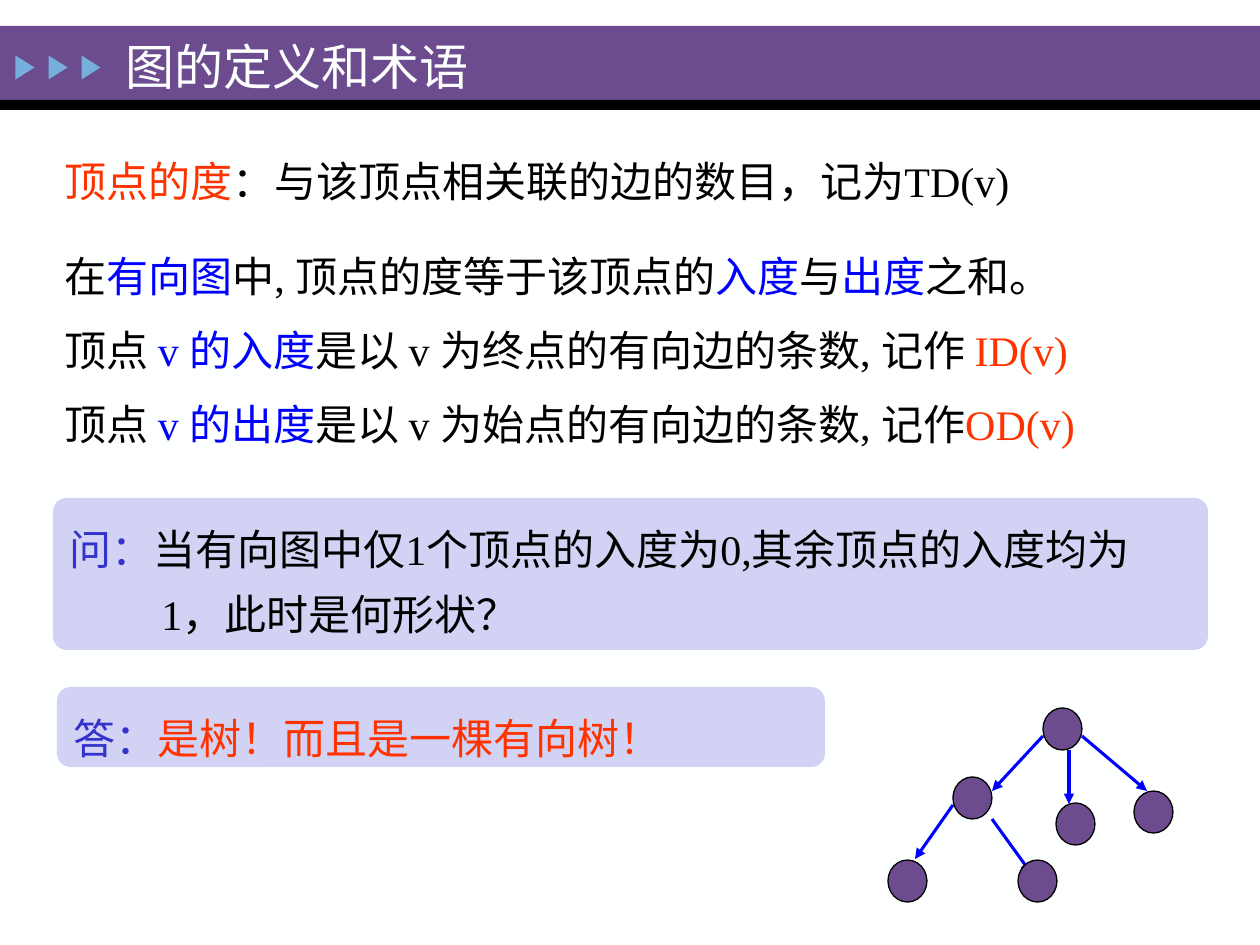
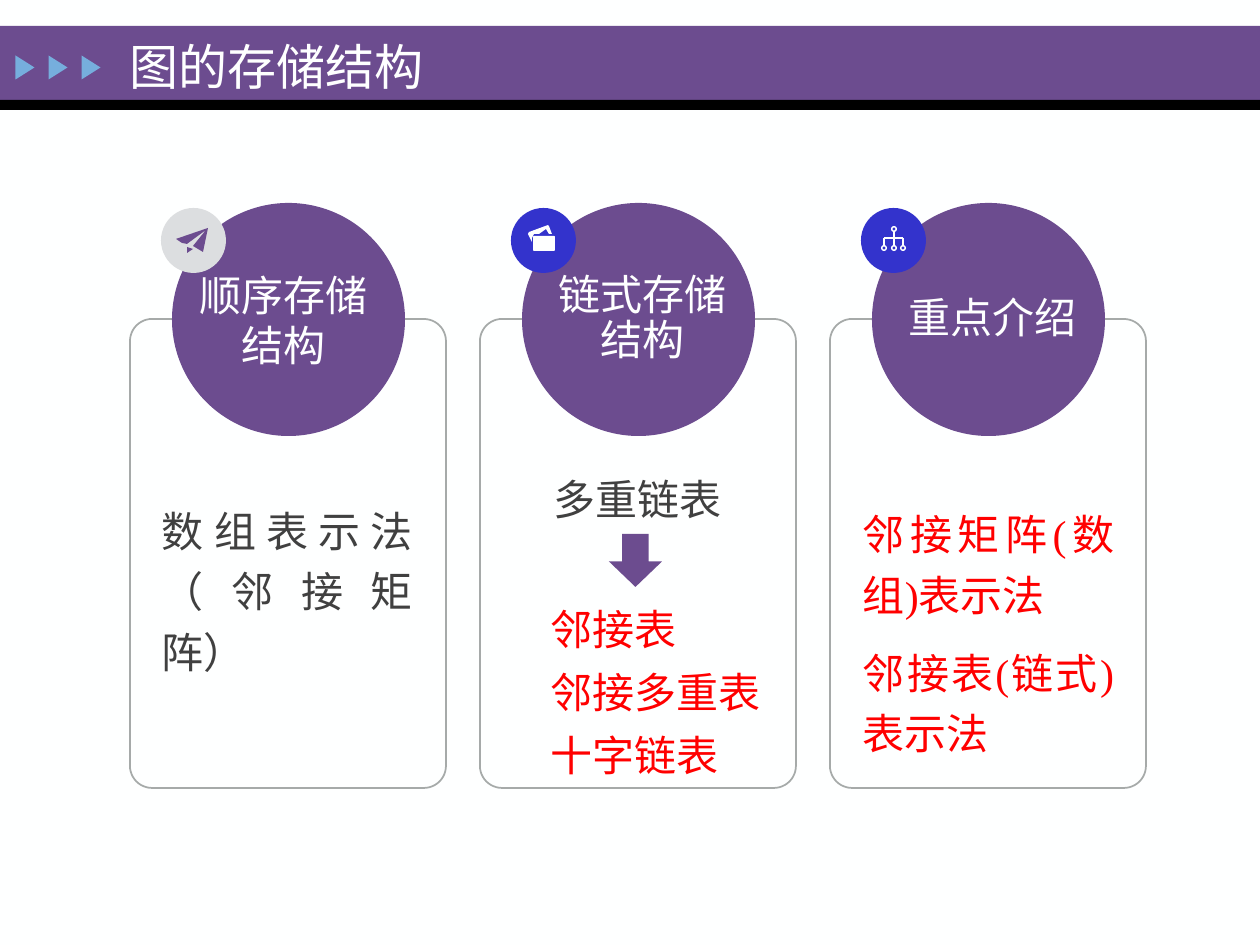
from dataclasses import dataclass

from lxml.etree import SubElement
from pptx import Presentation
from pptx.dml.color import RGBColor
from pptx.enum.shapes import MSO_CONNECTOR, MSO_SHAPE as SHAPE
from pptx.enum.text import MSO_ANCHOR as ANCHOR, MSO_AUTO_SIZE, PP_ALIGN as ALIGN
from pptx.oxml.ns import qn
from pptx.util import Pt

PX = 914400 / 126


@dataclass(frozen=True)
class Theme:
    font: str = "Times New Roman"
    title_size: int = 28
    text_size: int = 24
    paper: str = "FEFFFF"
    purple: str = "6C4C8F"
    black: str = "000000"
    sky: str = "76AEDD"
    lilac: str = "D2D2F4"
    indigo: str = "3333CC"
    blue: str = "0000FF"
    orange: str = "FF3300"
    red: str = "FF0000"
    gray: str = "404040"
    silver: str = "DCDEE0"
    border: str = "A6AAA9"


T = Theme()


def px(*lengths):
    return [round(length * PX) for length in lengths]


def rgb(code):
    return RGBColor.from_string(code)


def paint(shape, fill=None, line=None, width=1.0):
    shape.shadow.inherit = False
    if fill:
        shape.fill.solid()
        shape.fill.fore_color.rgb = rgb(fill)
    else:
        shape.fill.background()
    if line:
        shape.line.color.rgb = rgb(line)
        shape.line.width = Pt(width)
    else:
        shape.line.fill.background()


def add_preset(slide, kind, box, fill=None, line=None, width=1.0, adjust=()):
    shape = slide.shapes.add_shape(kind, *px(*box))
    for index, value in enumerate(adjust):
        shape.adjustments[index] = value
    paint(shape, fill, line, width)
    return shape


def add_outline(slide, x, y, points, fill):
    """Draw a closed polygon whose points are relative to (x, y)."""
    start, *rest = [(x + dx, y + dy) for dx, dy in points]
    builder = slide.shapes.build_freeform(*start, scale=PX)
    builder.add_line_segments(rest, close=True)
    paint(builder.convert_to_shape(), fill)


def add_line(slide, x, y, ends, color, width, arrow=False):
    x1, y1, x2, y2 = ends
    line = slide.shapes.add_connector(
        MSO_CONNECTOR.STRAIGHT, *px(x + x1, y + y1, x + x2, y + y2))
    line.line.color.rgb = rgb(color)
    line.line.width = Pt(width)
    properties = line.element.spPr
    if arrow:
        SubElement(properties.find(qn("a:ln")), qn("a:tailEnd"), type="triangle")
    SubElement(properties, qn("a:effectLst"))


def write(frame, paragraphs, size=T.text_size, align=ALIGN.LEFT, spacing=1.0,
          before=0, anchor=ANCHOR.TOP, hanging=0):
    """Fill a frame; each paragraph is a list of (text, colour) runs."""
    frame.word_wrap = True
    frame.auto_size = MSO_AUTO_SIZE.NONE
    frame.vertical_anchor = anchor
    for index, runs in enumerate(paragraphs):
        paragraph = frame.add_paragraph() if index else frame.paragraphs[0]
        paragraph.alignment = align
        paragraph.line_spacing = spacing
        paragraph.space_before = Pt(before if index else 0)
        if hanging:
            indent, = px(hanging)
            properties = paragraph._p.get_or_add_pPr()
            properties.set("marL", str(indent))
            properties.set("indent", str(-indent))
        paragraph.font.name = T.font
        paragraph.font.size = Pt(size)
        for text, color in runs:
            run = paragraph.add_run()
            run.text = text
            if len(runs) > 1:
                run.font.color.rgb = rgb(color)
            else:
                paragraph.font.color.rgb = rgb(color)


def add_text(slide, box, paragraphs, inset=True, **style):
    frame = slide.shapes.add_textbox(*px(*box)).text_frame
    if not inset:
        frame.margin_left = frame.margin_right = 0
        frame.margin_top = frame.margin_bottom = 0
    write(frame, paragraphs, **style)


def add_titled_slide(prs, title, left):
    slide = prs.slides.add_slide(prs.slide_layouts[5])
    add_preset(slide, SHAPE.RECTANGLE, (0, 26, 1260, 74), T.purple)
    add_preset(slide, SHAPE.RECTANGLE, (0, 100, 1260, 10), T.black)
    for i in range(3):
        marker = add_preset(slide, SHAPE.ISOSCELES_TRIANGLE,
                            (13 + 33 * i, 58, 24, 19), T.sky)
        marker.rotation = 90
    heading = slide.shapes.title
    slide.shapes.element.append(heading.element)  # in front of the band
    heading.left, heading.top, heading.width, heading.height = px(left, 18, 848, 95)
    write(heading.text_frame, [[(title, T.paper)]], size=T.title_size,
          anchor=ANCHOR.MIDDLE)
    return slide


def add_panel(slide, box, runs, radius, hanging=0):
    panel = add_preset(slide, SHAPE.ROUNDED_RECTANGLE, box, T.lilac, adjust=[radius])
    write(panel.text_frame, [runs], spacing=1.3, hanging=hanging)


def add_tree(slide, x, y):
    edges = [(155, 28, 104, 83), (65, 97, 27, 151), (104, 111, 143, 165),
             (181, 42, 181, 96), (194, 28, 259, 83)]
    nodes = [(155, 0), (65, 69), (168, 95), (246, 83), (0, 152), (130, 152)]
    for edge in edges:
        add_line(slide, x, y, edge, T.blue, 1.75, arrow=True)
    for dx, dy in nodes:
        add_preset(slide, SHAPE.OVAL, (x + dx, y + dy, 39, 42), T.purple, T.black, 0.75)


def build_terms(prs):
    slide = add_titled_slide(prs, "图的定义和术语", 113)
    add_text(slide, (52, 134, 1176, 71), [
        [("顶点的度", T.orange), ("：与该顶点相关联的边的数目，记为TD(v)", T.black)],
    ], spacing=1.3)
    add_text(slide, (52, 229, 1115, 210), [
        [("在", T.black), ("有向图", T.blue), ("中, 顶点的度等于该顶点的", T.black),
         ("入度", T.blue), ("与", T.black), ("出度", T.blue), ("之和。", T.black)],
        [("顶点 ", T.black), ("v 的入度", T.blue),
         ("是以 v 为终点的有向边的条数, 记作 ", T.black), ("ID(v)", T.orange)],
        [("顶点 ", T.black), ("v 的出度", T.blue),
         ("是以 v 为始点的有向边的条数, 记作", T.black), ("OD(v)", T.orange)],
    ], spacing=1.3, before=4.8)
    add_panel(slide, (53, 498, 1155, 152), [
        ("问：", T.indigo),
        ("当有向图中仅1个顶点的入度为0,其余顶点的入度均为1，此时是何形状？", T.black),
    ], radius=0.09, hanging=92)
    add_panel(slide, (57, 687, 768, 80), [
        ("答：", T.indigo), ("是树！而且是一棵有向树！", T.orange),
    ], radius=0.17)
    add_tree(slide, 888, 708)


def draw_plane(slide, x, y):
    wings = [(47, 20), (15, 31), (21, 35), (26, 36), (45, 22), (32, 38), (42, 44)]
    add_outline(slide, x, y, wings, T.purple)
    add_outline(slide, x, y, [(26, 45), (32, 41), (26, 39)], T.purple)


def draw_cards(slide, x, y):
    back = [(41, 26), (38, 18), (37, 17), (18, 24), (17, 26), (21, 34), (21, 30),
            (23, 26), (28, 26), (35, 21), (38, 26)]
    add_outline(slide, x, y, back, T.paper)
    add_preset(slide, SHAPE.ROUNDED_RECTANGLE, (x + 22, y + 28, 22, 15), T.paper,
               adjust=[0.08])


def draw_hierarchy(slide, x, y):
    for branch in [(33, 24, 33, 37), (23, 30, 42, 30), (23, 30, 23, 37), (42, 30, 42, 37)]:
        add_line(slide, x, y, branch, T.paper, 1.5)
    for dx, dy in [(33, 21), (23, 40), (33, 40), (42, 40)]:
        add_preset(slide, SHAPE.DONUT, (x + dx - 3, y + dy - 3, 6, 6), T.paper,
                   adjust=[0.25])


def add_storage_card(slide, x, y, label, label_x, label_spacing, badge, draw_icon):
    add_preset(slide, SHAPE.ROUNDED_RECTANGLE, (x, y, 316, 469), line=T.border,
               adjust=[0.07])
    add_preset(slide, SHAPE.OVAL, (x + 42, y - 116, 233, 233), T.purple)
    add_preset(slide, SHAPE.OVAL, (x + 31, y - 111, 65, 65), badge)
    draw_icon(slide, x + 31, y - 111)
    add_text(slide, (x + label_x, y - 39, 202, 79), [[(label, T.paper)]], inset=False,
             align=ALIGN.CENTER, spacing=label_spacing, anchor=ANCHOR.MIDDLE)


def fill_sequential(slide, x, y):
    add_text(slide, (x + 32, y + 198, 251, 138), [[("数组表示法（邻接矩阵）", T.gray)]],
             inset=False, align=ALIGN.JUSTIFY, spacing=1.2, anchor=ANCHOR.MIDDLE)


def fill_linked(slide, x, y):
    add_text(slide, (x + 33, y + 155, 249, 39), [[("多重链表", T.gray)]],
             inset=False, align=ALIGN.CENTER, spacing=1.2, anchor=ANCHOR.MIDDLE)
    add_preset(slide, SHAPE.DOWN_ARROW, (x + 129, y + 215, 53, 53), T.purple,
               adjust=[0.5, 0.48])
    lists = ["邻接表", "邻接多重表", "十字链表"]
    add_text(slide, (x + 71, y + 272, 222, 192), [[(name, T.red)] for name in lists],
             inset=False, spacing=1.25)


def fill_focus(slide, x, y):
    methods = ["邻接矩阵(数组)表示法", "邻接表(链式)表示法"]
    add_text(slide, (x + 33, y + 155, 251, 309), [[(name, T.red)] for name in methods],
             inset=False, align=ALIGN.JUSTIFY, spacing=1.2, before=10,
             anchor=ANCHOR.MIDDLE)


def build_storage(prs):
    slide = add_titled_slide(prs, "图的存储结构", 117)
    cards = [
        ("顺序存储结构", 53, 1.0, T.silver, draw_plane, fill_sequential),
        ("链式存储结构", 62, 0.9, T.indigo, draw_cards, fill_linked),
        ("重点介绍", 62, 0.9, T.indigo, draw_hierarchy, fill_focus),
    ]
    for i, (*head, fill_body) in enumerate(cards):
        x, y = 130 + 350 * i, 319
        add_storage_card(slide, x, y, *head)
        fill_body(slide, x, y)


def main():
    prs = Presentation()
    prs.slide_width, prs.slide_height = px(1260, 945)
    backdrop = prs.slide_master.background.fill
    backdrop.solid()
    backdrop.fore_color.rgb = rgb(T.paper)
    build_terms(prs)
    build_storage(prs)
    prs.save("out.pptx")


if __name__ == "__main__":
    main()
